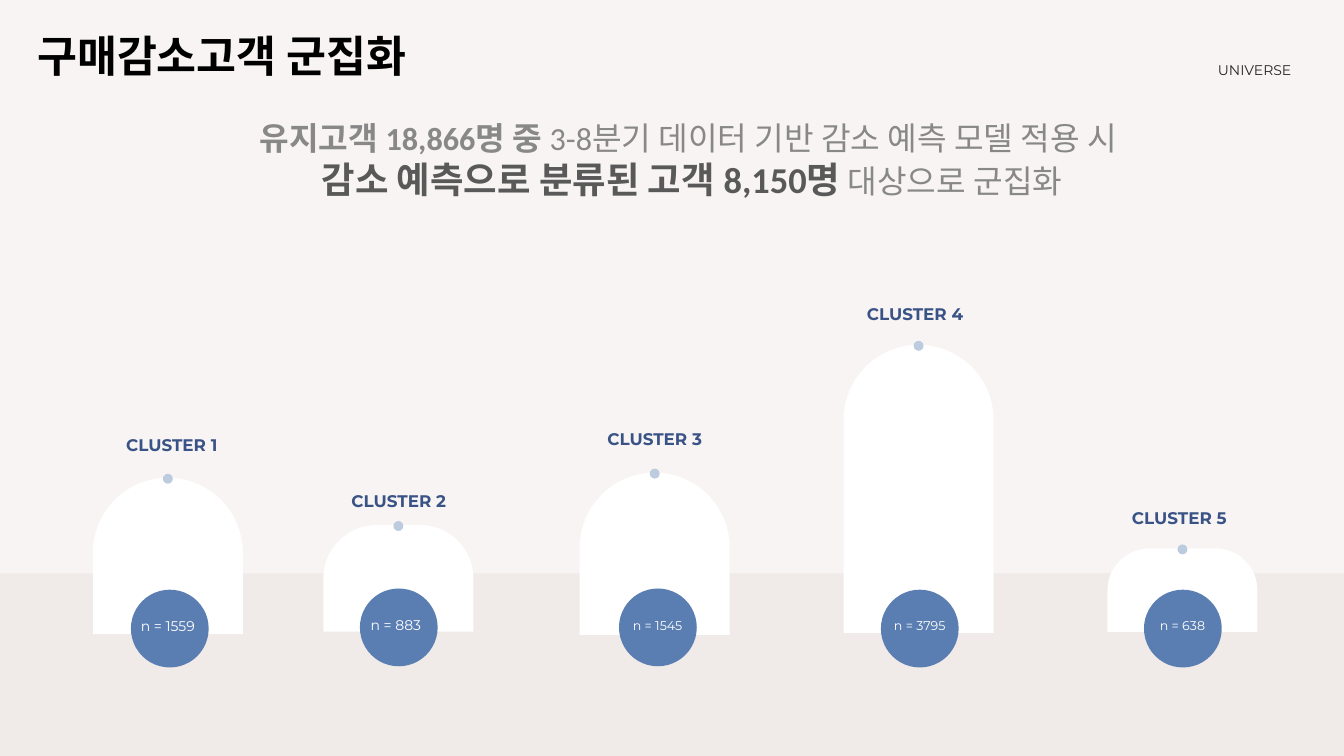
from dataclasses import dataclass

from pptx import Presentation
from pptx.dml.color import RGBColor
from pptx.enum.shapes import MSO_SHAPE
from pptx.enum.text import MSO_ANCHOR, MSO_AUTO_SIZE, PP_ALIGN
from pptx.util import Cm, Pt


@dataclass(frozen=True)
class Theme:
    back: str = "F7F4F3"
    floor: str = "F0EAE8"
    white: str = "FFFFFF"
    black: str = "000000"
    navy: str = "3A5386"
    blue: str = "5A7EB2"
    pale: str = "BCCBDE"
    gray: str = "888888"
    dark: str = "595959"
    ink: str = "262626"
    head: str = "Calibri"
    body: str = "Montserrat"
    title: int = 31
    strong: int = 26
    lead: int = 23
    label: int = 12
    count: int = 10
    small: int = 9


THEME = Theme()
BAR_W, DOT, BADGE = 3.78, 0.25, 1.96


@dataclass(frozen=True)
class Cluster:
    left: float       # bar
    top: float
    height: float
    mid: float        # label centre
    label_y: float
    badge_x: float
    badge_y: float
    count: str
    count_x: float
    count_y: float
    size: int


CLUSTERS = [
    Cluster(2.34, 12.04, 3.94, 4.33, 10.82, 3.3, 14.86, "1559", 3.3, 15.34, THEME.count),
    Cluster(8.15, 13.23, 2.69, 10.05, 12.24, 9.07, 14.83, "883", 9.09, 15.32, THEME.count),
    Cluster(14.61, 11.91, 4.09, 16.5, 10.69, 15.6, 14.83, "1545", 15.7, 15.39, THEME.small),
    Cluster(21.26, 8.69, 7.26, 23.06, 7.54, 22.2, 14.86, "3795", 22.28, 15.39, THEME.small),
    Cluster(27.91, 13.82, 2.11, 29.72, 12.67, 28.83, 14.86, "638", 28.98, 15.39, THEME.small),
]


def add_form(slide, kind, left, top, width, height, color):
    form = slide.shapes.add_shape(kind, Cm(left), Cm(top), Cm(width), Cm(height))
    form.shadow.inherit = False
    form.fill.solid()
    form.fill.fore_color.rgb = RGBColor.from_string(color)
    form.line.fill.background()
    return form


def add_box(slide, left, top, width, height, anchor=MSO_ANCHOR.TOP, inset=0.13, grow=False):
    box = slide.shapes.add_textbox(Cm(left), Cm(top), Cm(width), Cm(height))
    frame = box.text_frame
    frame.word_wrap = True
    frame.auto_size = MSO_AUTO_SIZE.SHAPE_TO_FIT_TEXT if grow else MSO_AUTO_SIZE.NONE
    frame.vertical_anchor = anchor
    frame.margin_left = frame.margin_right = Cm(0.25)
    frame.margin_top = frame.margin_bottom = Cm(inset)
    return frame


def add_text(line, text, size, color, font=THEME.body, bold=False, align=PP_ALIGN.LEFT):
    line.alignment = align
    run = line.add_run()
    run.text = text
    run.font.size = Pt(size)
    run.font.name = font
    run.font.bold = bold
    run.font.color.rgb = RGBColor.from_string(color)


def add_header(slide):
    title = add_box(slide, 0.69, 0.41, 13.31, 2.11, MSO_ANCHOR.MIDDLE).paragraphs[0]
    title.line_spacing = 0.9
    add_text(title, "구매감소고객 군집화", THEME.title, THEME.black, THEME.head, bold=True)

    tag = add_box(slide, 16.41, 1.42, 16.38, 0.69, grow=True).paragraphs[0]
    add_text(tag, "UNIVERSE", THEME.count, THEME.ink, align=PP_ALIGN.RIGHT)


def add_lead(slide):
    frame = add_box(slide, 3.02, 2.74, 28.85, 3.25, inset=0.25, grow=True)
    rows = [
        [("유지고객 18,866명 중 ", THEME.lead, THEME.gray, True),
         ("3-8분기 데이터 기반 감소 예측 모델 적용 시 ", THEME.lead, THEME.gray, False)],
        [("감소 예측으로 분류된 고객 8,150명", THEME.strong, THEME.dark, True),
         (" 대상으로 군집화", THEME.lead, THEME.gray, False)],
    ]
    for line, row in zip([frame.paragraphs[0], frame.add_paragraph()], rows):
        for text, size, color, bold in row:
            add_text(line, text, size, color, THEME.head, bold, PP_ALIGN.CENTER)


def add_bar(slide, item):
    bar = add_form(slide, MSO_SHAPE.ROUND_2_SAME_RECTANGLE,
                   item.left, item.top, BAR_W, item.height, THEME.white)
    bar.adjustments[0] = 0.5
    bar.adjustments[1] = 0
    add_form(slide, MSO_SHAPE.OVAL, item.left + (BAR_W - DOT) / 2, item.top - 0.1,
             DOT, DOT, THEME.pale)


def add_label(slide, item, name):
    width = 3.76
    frame = add_box(slide, item.mid - width / 2, item.label_y, width, 0.76, MSO_ANCHOR.MIDDLE)
    add_text(frame.paragraphs[0], name, THEME.label, THEME.navy,
             bold=True, align=PP_ALIGN.CENTER)


def add_badge(slide, item):
    add_form(slide, MSO_SHAPE.OVAL, item.badge_x, item.badge_y, BADGE, BADGE, THEME.blue)
    frame = add_box(slide, item.count_x, item.count_y, 2.34, 0.91, inset=0.25, grow=True)
    add_text(frame.paragraphs[0], f"n = {item.count}", item.size, THEME.white)


def main():
    deck = Presentation()
    deck.slide_width, deck.slide_height = Cm(33.87), Cm(19.05)
    slide = deck.slides.add_slide(deck.slide_layouts[6])

    # Background and floor
    slide.background.fill.solid()
    slide.background.fill.fore_color.rgb = RGBColor.from_string(THEME.back)
    add_form(slide, MSO_SHAPE.RECTANGLE, 0, 14.45, 33.87, 4.6, THEME.floor)

    # Title and lead text
    add_header(slide)
    add_lead(slide)

    # Clusters
    for rank, item in enumerate(CLUSTERS, 1):
        add_bar(slide, item)
        add_label(slide, item, f"CLUSTER {rank}")
        add_badge(slide, item)

    deck.save("out.pptx")


if __name__ == "__main__":
    main()
